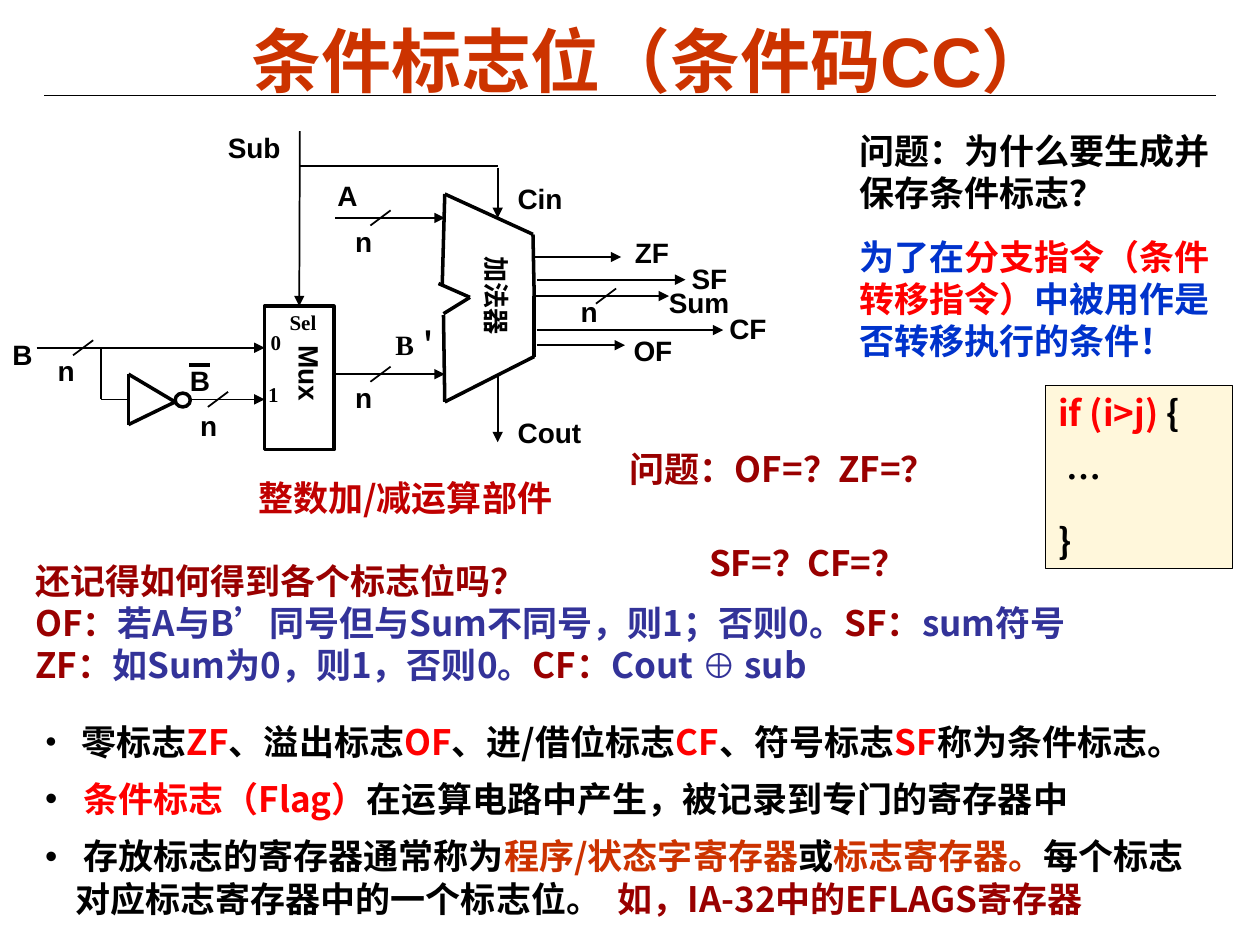
from itertools import pairwise

from lxml import etree
from pptx import Presentation
from pptx.dml.color import RGBColor
from pptx.enum.shapes import MSO_CONNECTOR, MSO_SHAPE
from pptx.enum.text import MSO_ANCHOR, MSO_AUTO_SIZE, PP_ALIGN
from pptx.oxml.ns import qn
from pptx.util import Inches, Pt

STRAIGHT = MSO_CONNECTOR.STRAIGHT
RECTANGLE, OVAL = MSO_SHAPE.RECTANGLE, MSO_SHAPE.OVAL
TOP, MIDDLE = MSO_ANCHOR.TOP, MSO_ANCHOR.MIDDLE
GROW = MSO_AUTO_SIZE.SHAPE_TO_FIT_TEXT
LEFT, CENTER = PP_ALIGN.LEFT, PP_ALIGN.CENTER

SANS, SERIF, HAN = "Arial", "Times New Roman", "Noto Sans CJK SC"
COLORS = {
    "black": "000000", "title": "CC3300", "red": "FF0000", "maroon": "990000",
    "crimson": "C00000", "indigo": "333399", "blue": "0033CC", "gold": "FFCC00",
}


def color(name):
    return RGBColor.from_string(COLORS[name])


def add_xml(parent, tag, **attributes):
    return etree.SubElement(parent, qn(tag), attributes)


def write(frame, paragraphs, font=HAN, size=20, anchor=TOP, align=LEFT,
          wrap=True, before=0, spacing=None, bullets=None):
    """Fill a frame; a span is (text, color) or (text, color, font, size)."""
    frame.word_wrap = wrap
    frame.auto_size = GROW
    frame.vertical_anchor = anchor
    for index, spans in enumerate(paragraphs):
        para = frame.add_paragraph() if index else frame.paragraphs[0]
        para.alignment = align
        para.space_before = Pt(before if index else 0)
        if spacing:
            para.line_spacing = Pt(spacing)
        if bullets:
            add_bullet(para, *bullets[index])
        for text, tint, *style in spans:
            span_font, span_size = style or (font, size)
            span = para.add_run()
            span.text = text
            span.font.name = span_font
            span.font.size = Pt(span_size)
            span.font.bold = True
            span.font.color.rgb = color(tint)
            add_xml(span.font._element, "a:ea", typeface=HAN)


def add_bullet(para, mark, percent):
    properties = para._p.get_or_add_pPr()
    properties.set("marL", str(Inches(0.24)))
    properties.set("indent", str(-Inches(0.24)))
    tint = add_xml(properties, "a:buClr")
    add_xml(tint, "a:srgbClr", val=COLORS["black"])
    add_xml(properties, "a:buSzPct", val=str(percent * 1000))
    add_xml(properties, "a:buFont", typeface=SANS)
    add_xml(properties, "a:buChar", char=mark)


def add_text(page, box, paragraphs, **style):
    shape = page.shapes.add_textbox(*map(Inches, box))
    write(shape.text_frame, paragraphs, **style)
    return shape


class Region:
    """Draws lines, outlines and labels relative to one corner."""

    def __init__(self, page, left, top):
        self.page, self.left, self.top = page, left, top

    def line(self, start, end, width=1, arrow=False):
        ends = [Inches(value + offset) for point in (start, end)
                for value, offset in zip(point, (self.left, self.top))]
        connector = self.page.shapes.add_connector(STRAIGHT, *ends)
        connector.line.color.rgb = color("black")
        connector.line.width = Pt(width)
        if arrow:
            add_xml(connector.line._get_or_add_ln(), "a:tailEnd", type="triangle")
        add_xml(connector._element.spPr, "a:effectLst")
        return connector

    def outline(self, points):
        for start, end in pairwise(points):
            self.line(start, end, width=2)

    def shape(self, kind, x, y, width, height):
        shape = self.page.shapes.add_shape(
            kind, *map(Inches, (self.left + x, self.top + y, width, height)))
        shape.shadow.inherit = False
        shape.fill.background()
        shape.line.color.rgb = color("black")
        shape.line.width = Pt(2)
        return shape

    def label(self, text, x, y, width=0.36, height=0.36, rotation=0,
              font=SANS, size=16, wrap=False):
        box = self.left + x, self.top + y, width, height
        shape = add_text(self.page, box, [[(text, "black")]],
                         font=font, size=size, wrap=wrap)
        shape.rotation = rotation

    def bus_mark(self, x, y, shift=(-0.22, 0.06)):
        self.line((x + 0.16, y), (x, y + 0.12))
        self.label("n", x + shift[0], y + shift[1], width=0.33)


def draw_title(page, left, top, width):
    title = page.shapes.title
    title.left, title.top = Inches(left + 0.81), Inches(top)
    title.width, title.height = Inches(8.02), Inches(0.72)
    frame = title.text_frame
    frame.margin_left = frame.margin_right = Inches(0.07)
    frame.margin_top = frame.margin_bottom = Inches(0.03)
    write(frame, [[("条件标志位（条件码CC）", "title")]],
          font=SANS, size=40, align=CENTER)
    Region(page, left, top).line((0, 0.65), (width, 0.65), width=0.75)


def draw_adder(page, left, top):
    region = Region(page, left, top)
    # Notched body
    region.outline([(1.03, 0.24), (1.73, 0.56), (1.74, 1.05), (1.74, 1.53),
                    (1.03, 1.89), (1.02, 1.2)])
    region.outline([(1.03, 0.24), (1.01, 0.96)])
    region.outline([(0.98, 0.95), (1.23, 1.06), (1.02, 1.19)])
    region.label("加法器", 0.93, 0.97, 1.02, 0.35, rotation=90, size=15, wrap=True)
    # Inputs, carry in and carry out
    for y in (0.43, 1.67):
        region.line((0.16, y), (1.03, y), arrow=True)
        region.bus_mark(0.44, y - 0.06)
    region.label("A", 0.08, 0.07)
    region.label("B＇", 0.54, 1.25, 0.68, 0.37, font=SERIF, wrap=True)
    region.line((1.45, 0.03), (1.45, 0.43), arrow=True)
    region.label("Cin", 1.51, 0.09, 0.56)
    region.line((1.45, 1.68), (1.45, 2.21), arrow=True)
    region.label("Cout", 1.51, 1.95, 0.75)
    # Outputs: name, arrow start and end, arrow height, label place and width
    outputs = [
        ("ZF", 1.73, 2.43, 0.74, 2.44, 0.52, 0.47),
        ("SF", 1.76, 2.94, 0.92, 2.89, 0.73, 0.59),
        ("Sum", 1.74, 2.81, 1.05, 2.71, 0.92, 0.68),
        ("CF", 1.76, 3.24, 1.32, 3.19, 1.12, 0.6),
        ("OF", 1.76, 2.46, 1.44, 2.43, 1.3, 0.51),
    ]
    for name, start, end, y, label_x, label_y, width in outputs:
        region.line((start, y), (end, y), arrow=True)
        region.label(name, label_x, label_y, width)
    region.bus_mark(2.23, 0.99, shift=(-0.22, 0))


def draw_mux(page, left, top):
    region = Region(page, left, top)
    body = region.shape(RECTANGLE, 0.1, 1.43, 0.55, 1.14)
    for text, x, y, width in (("0", 0.05, 1.57, 0.28), ("1", 0.03, 1.98, 0.28),
                              ("Sel", 0.2, 1.41, 0.41)):
        region.label(text, x, y, width, 0.3, font=SERIF, size=12)
    region.label("Mux", 0.07, 1.85, 0.78, rotation=90, wrap=True)
    # Control signal and its branch to the carry in
    control = region.line((0.38, 0.04), (0.38, 1.43), arrow=True)
    control.end_connect(body, 0)
    region.line((0.38, 0.32), (1.95, 0.32))
    region.label("Sub", -0.29, -0.01, 0.62)


def draw_inverter(page, left, top):
    region = Region(page, left, top)
    # Direct path
    region.label("B", 0, 0.03)
    region.line((0.29, 0.16), (2.1, 0.16), arrow=True)
    region.bus_mark(0.58, 0.1)
    # Inverted path
    region.line((0.8, 0.16), (0.8, 0.57))
    region.line((0.8, 0.57), (1.01, 0.57))
    region.outline([(1.39, 0.59), (1.02, 0.37), (1.02, 0.77), (1.39, 0.59)])
    region.shape(OVAL, 1.39, 0.52, 0.12, 0.11)
    region.line((1.51, 0.57), (2.1, 0.57), arrow=True)
    region.bus_mark(1.65, 0.51, shift=(-0.16, 0.08))
    region.label("B", 1.41, 0.24)
    region.line((1.5, 0.3), (1.67, 0.3), width=2.25)


def draw_questions(page, left, top):
    add_text(page, (left + 1.82, top, 3, 1.94), [
        [("问题：为什么要生成并保存条件标志？", "black")],
        [("为了在", "blue"), ("分支指令（条件转移指令）", "red"),
         ("中被用作是否转移执行的条件！", "blue")],
    ], font=SANS, before=12.5, spacing=24)
    flags = add_text(page, (left, top + 2.52, 2.9, 1.19), [
        [("问题：OF=？ZF=？", "maroon")], [("SF=？CF=？", "maroon")],
    ], before=30, spacing=24)
    flags.text_frame.paragraphs[1]._p.get_or_add_pPr().set("marL", str(Inches(0.63)))


def draw_code(page, box):
    shape = page.shapes.add_shape(RECTANGLE, *map(Inches, box))
    shape.shadow.inherit = False
    shape.fill.solid()
    shape.fill.fore_color.rgb = color("gold")
    tint = shape._element.spPr.find(qn("a:solidFill"))[0]
    add_xml(tint, "a:alpha", val="14000")
    shape.line.color.rgb = color("black")
    shape.line.width = Pt(0.75)
    write(shape.text_frame, [
        [("if (i>j)", "red"), (" {", "black")], [(" …", "black")], [("}", "black")],
    ], before=12.5, spacing=24)


def draw_flag_rules(page, left, top):
    add_text(page, (left + 1.77, top, 2.61, 0.77),
             [[("整数加/减运算部件", "crimson")]], spacing=24)
    add_text(page, (left, top + 0.66, 9.49, 1.1), [
        [("还记得如何得到各个标志位吗？", "maroon")],
        [("OF：", "maroon"), ("若A与B’同号但与Sum不同号，则1；否则0。", "indigo"),
         ("SF：", "maroon"), ("sum符号", "indigo")],
        [("ZF：", "maroon"), ("如Sum为0，则1，否则0。", "indigo"),
         ("CF：", "maroon"), ("Cout ", "indigo"), ("⊕", "indigo", SANS, 20),
         (" sub", "indigo")],
    ], spacing=24)


def draw_summary(page, box):
    add_text(page, box, [
        [(" ", "black", SERIF, 16), ("零标志", "black"), ("ZF", "red"),
         ("、溢出标志", "black"), ("OF", "red"), ("、进/借位标志", "black"),
         ("CF", "red"), ("、符号标志", "black"), ("SF", "red"),
         ("称为条件标志。", "black")],
        [(" ", "black"), ("条件标志（Flag）", "red"),
         ("在运算电路中产生，被记录到专门的寄存器中", "black")],
        [(" 存放标志的寄存器通常称为", "black"), ("程序/状态字寄存器", "title"),
         ("或", "black"), ("标志寄存器。", "title"),
         ("每个标志对应标志寄存器中的一个标志位。 ", "black"),
         (" 如，IA-32中的EFLAGS寄存器", "maroon")],
    ], anchor=MIDDLE, before=8.8, spacing=24,
        bullets=[("●", 70), ("•", 100), ("•", 100)])


def main():
    deck = Presentation()
    deck.slide_width, deck.slide_height = Inches(10), Inches(7.5)
    page = deck.slides.add_slide(deck.slide_layouts[5])
    draw_title(page, 0.35, 0.11, 9.3)
    draw_summary(page, (0.26, 5.5, 9.5, 2.01))
    draw_adder(page, 2.5, 1.3)
    draw_mux(page, 2, 1)
    draw_inverter(page, 0, 2.6)
    draw_questions(page, 4.9, 0.98)
    draw_flag_rules(page, 0.18, 3.73)
    draw_code(page, (8.3, 3.06, 1.48, 1.45))
    deck.save("out.pptx")


if __name__ == "__main__":
    main()
